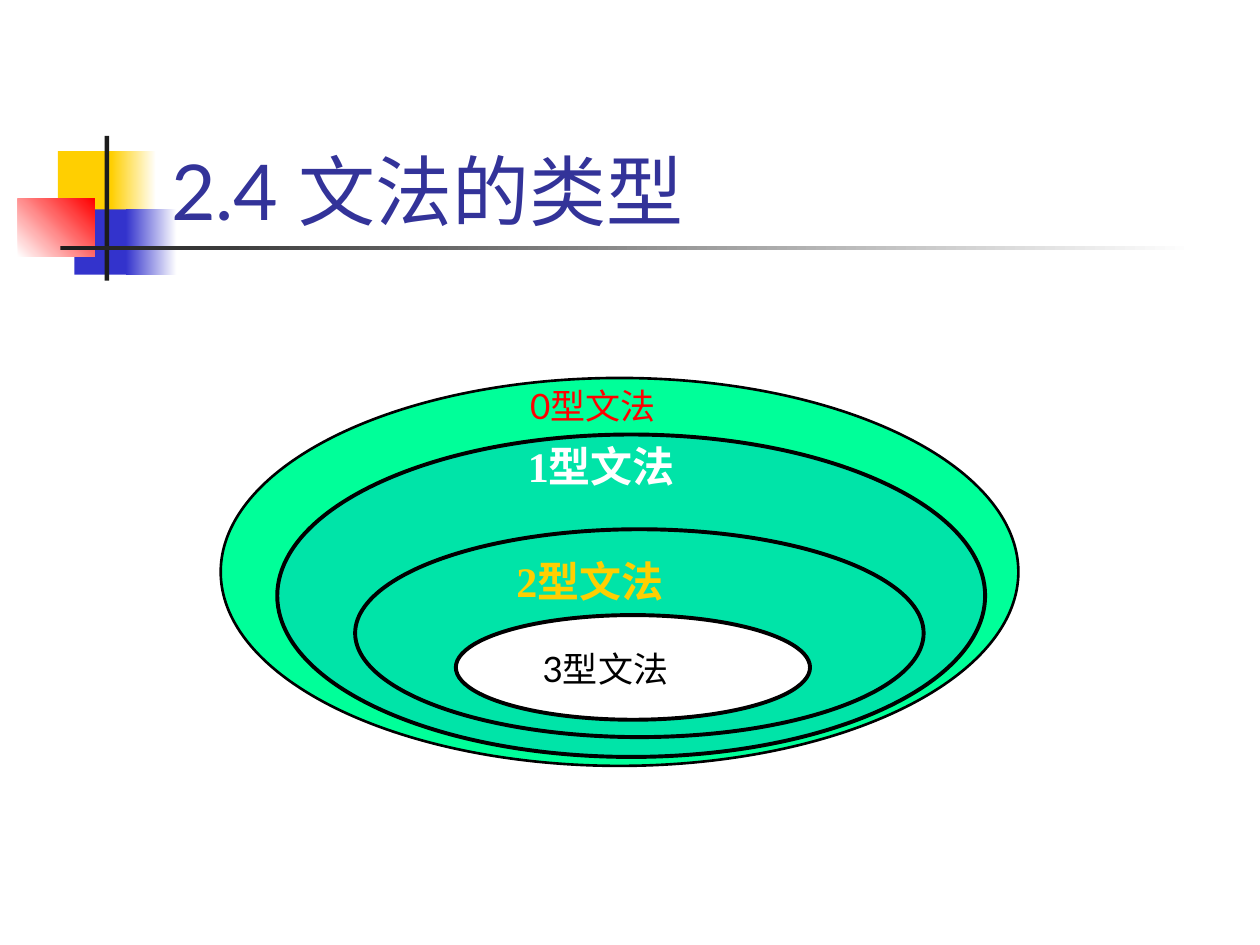
from dataclasses import dataclass

from pptx import Presentation
from pptx.dml.color import RGBColor
from pptx.enum.shapes import MSO_SHAPE
from pptx.enum.text import MSO_ANCHOR
from pptx.shapes.autoshape import Shape
from pptx.slide import Slide
from pptx.util import Cm, Pt

RECTANGLE = MSO_SHAPE.RECTANGLE
OVAL = MSO_SHAPE.OVAL
TOP = MSO_ANCHOR.TOP
BOTTOM = MSO_ANCHOR.BOTTOM

WHITE = "FFFFFF"
BLACK = "000000"
YELLOW = "FFCF01"
BLUE = "3333CC"
RED = "FF0000"
CHARCOAL = "1C1C1C"
TEAL = "00E4A8"


@dataclass(frozen=True)
class Box:
    left: float
    top: float
    width: float
    height: float

    def lengths(self) -> tuple[Cm, Cm, Cm, Cm]:
        return Cm(self.left), Cm(self.top), Cm(self.width), Cm(self.height)


@dataclass(frozen=True)
class Bar:
    box: Box
    color: str
    end_color: str | None = None
    angle: float = 0


@dataclass(frozen=True)
class Ring:
    box: Box
    color: str
    line_width: float = 2.25


@dataclass(frozen=True)
class Label:
    box: Box
    text: str
    color: str
    size: float
    name: str = "Lato"
    bold: bool = False
    anchor: MSO_ANCHOR = TOP


BARS = [
    Bar(Box(1.17, 3.05, 1.22, 1.32), YELLOW),
    Bar(Box(2.24, 3.05, 0.91, 1.32), YELLOW, WHITE),
    Bar(Box(1.5, 4.22, 1.17, 1.32), BLUE),
    Bar(Box(2.54, 4.22, 1.02, 1.32), BLUE, WHITE),
    Bar(Box(0.36, 4.01, 1.55, 1.17), WHITE, RED, 45),
    Bar(Box(2.11, 2.74, 0.09, 2.92), CHARCOAL),
    Bar(Box(1.22, 4.95, 22.86, 0.09), CHARCOAL, WHITE),
]

RINGS = [
    Ring(Box(4.45, 7.62, 16.08, 7.82), "00FF99", 1.5),
    Ring(Box(5.59, 8.76, 14.27, 6.5), TEAL),
    Ring(Box(7.16, 10.67, 11.46, 4.19), TEAL),
    Ring(Box(9.19, 12.4, 7.14, 2.11), WHITE),
]

TITLE = Label(Box(3.2, 1.7, 21.64, 4.88 - 1.7 + 1.7 - 1.7), "2.4 文法的类型", "333399", 44, anchor=BOTTOM)

LABELS = [
    Label(Box(10.16, 11.07, 4.85, 1.27), "2型文法", YELLOW, 24, "Times New Roman", True),
    Label(Box(10.39, 8.76, 4.7, 1.27), "1型文法", WHITE, 24, "Times New Roman", True),
    Label(Box(10.44, 7.62, 3.84, 1.12), "0型文法", RED, 20),
    Label(Box(10.69, 12.93, 5.28, 1.12), "3型文法", BLACK, 20),
]


def rgb(color: str) -> RGBColor:
    return RGBColor.from_string(color)


def add_filled_shape(slide: Slide, kind: MSO_SHAPE, box: Box, color: str) -> Shape:
    shape = slide.shapes.add_shape(kind, *box.lengths())
    shape.shadow.inherit = False
    shape.fill.solid()
    shape.fill.fore_color.rgb = rgb(color)
    return shape


def add_bar(slide: Slide, bar: Bar) -> None:
    shape = add_filled_shape(slide, RECTANGLE, bar.box, bar.color)
    shape.line.fill.background()
    if bar.end_color:
        shape.fill.gradient()
        shape.fill.gradient_angle = bar.angle
        stops = shape.fill.gradient_stops
        for stop, position, color in zip(stops, (0, 1), (bar.color, bar.end_color)):
            stop.position = position
            stop.color.rgb = rgb(color)


def add_ring(slide: Slide, ring: Ring) -> None:
    shape = add_filled_shape(slide, OVAL, ring.box, ring.color)
    shape.line.color.rgb = rgb(BLACK)
    shape.line.width = Pt(ring.line_width)


def add_label(slide: Slide, label: Label) -> None:
    text_frame = slide.shapes.add_textbox(*label.box.lengths()).text_frame
    text_frame.word_wrap = True
    text_frame.vertical_anchor = label.anchor
    run = text_frame.paragraphs[0].add_run()
    run.text = label.text
    font_format = {"name": label.name, "size": Pt(label.size), "bold": label.bold}
    for attribute, value in font_format.items():
        setattr(run.font, attribute, value)
    run.font.color.rgb = rgb(label.color)


def main() -> None:
    presentation = Presentation()
    presentation.slide_width = Cm(25.4)
    presentation.slide_height = Cm(19.05)
    slide = presentation.slides.add_slide(presentation.slide_layouts[6])
    for bar in BARS:
        add_bar(slide, bar)
    add_label(slide, TITLE)
    for ring in RINGS:
        add_ring(slide, ring)
    for label in LABELS:
        add_label(slide, label)
    presentation.save("out.pptx")


if __name__ == "__main__":
    main()
